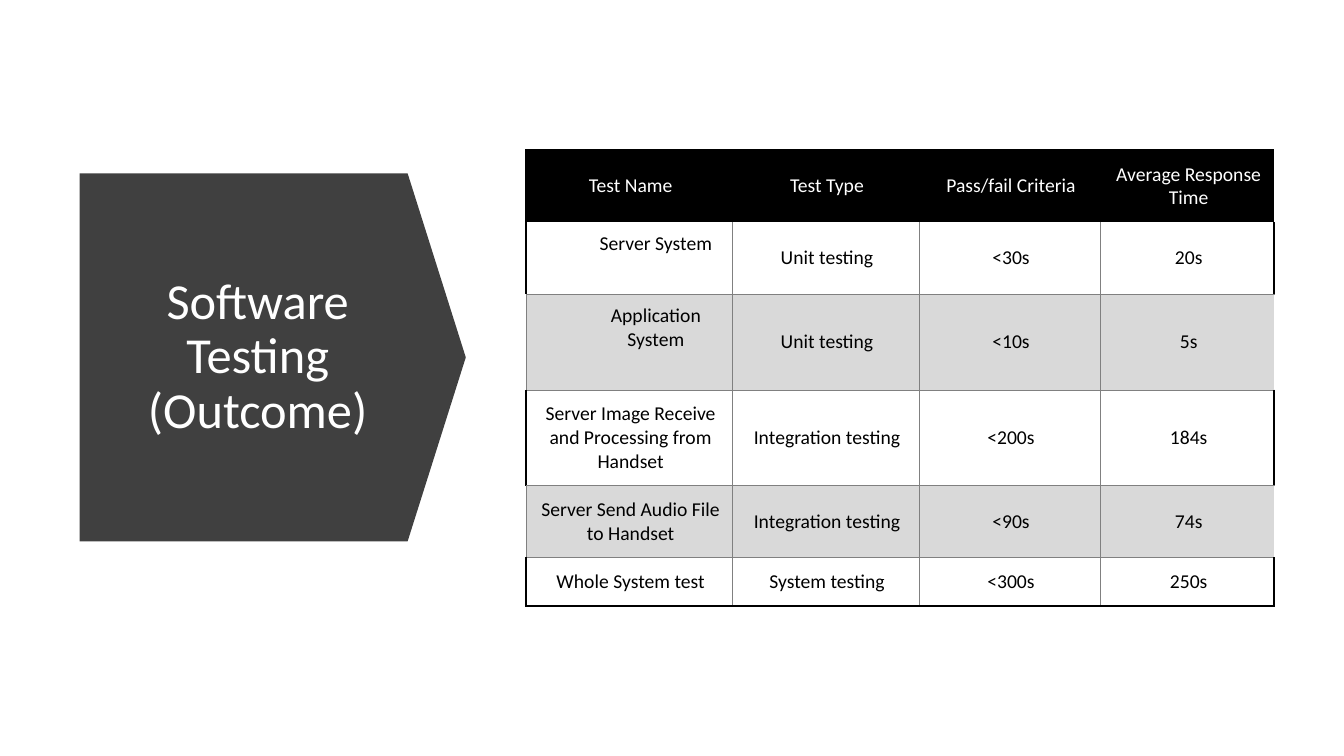
from dataclasses import dataclass

from lxml.etree import SubElement
from pptx import Presentation
from pptx.dml.color import RGBColor
from pptx.enum.shapes import MSO_SHAPE
from pptx.enum.text import MSO_ANCHOR, PP_ALIGN
from pptx.oxml.ns import qn
from pptx.util import Inches, Pt


@dataclass(frozen=True)
class Theme:
    font: str = "Calibri"
    title_size: float = 36
    table_size: float = 14
    panel: str = "404040"
    ink: str = "000000"
    paper: str = "FFFFFF"
    band: str = "D9D9D9"
    rule: str = "808080"
    thin: float = 0.5
    thick: float = 1.5


THEME = Theme()
SLIDE_SIZE = (13.33, 7.5)
ARROW_BOX = (0.79, 1.72, 3.83, 3.65)
TABLE_BOX = (5.22, 1.49, 7.42, 4.52)
COLUMN_SHARES = (0.275, 0.25, 0.242, 0.233)
# A row is as high as its lines of text plus a fixed padding
ROW_LINES = (2, 2, 3, 3, 2, 1)
LINE_HEIGHT = 0.237
ROW_PADDING = 0.24
NO_GRID_STYLE = "{2D5ABB26-0587-4C30-8999-92F81FD0307C}"

TESTS = (
    ("Test Name", "Test Type", "Pass/fail Criteria", "Average Response Time"),
    ("Server System", "Unit testing", "<30s", "20s"),
    ("Application System", "Unit testing", "<10s", "5s"),
    ("Server Image Receive and Processing from Handset",
     "Integration testing", "<200s", "184s"),
    ("Server Send Audio File to Handset", "Integration testing", "<90s", "74s"),
    ("Whole System test", "System testing", "<300s", "250s"),
)
INDENTED_TESTS = ("Server System", "Application System")


def style_text(paragraph, size, color):
    paragraph.alignment = PP_ALIGN.CENTER
    for run in paragraph.runs:
        run.font.name = THEME.font
        run.font.size = Pt(size)
        run.font.color.rgb = RGBColor.from_string(color)


def add_title_arrow(slide, box):
    left, top, width, height = box

    # Arrow: a down arrow turned to point right, behind the title
    arrow = slide.shapes.add_shape(
        MSO_SHAPE.DOWN_ARROW,
        Inches(left + (width - height) / 2), Inches(top + (height - width) / 2),
        Inches(height), Inches(width))
    arrow.rotation = 270
    arrow.adjustments[0] = 1
    arrow.adjustments[1] = 0.158
    arrow.shadow.inherit = False
    arrow.fill.solid()
    arrow.fill.fore_color.rgb = RGBColor.from_string(THEME.panel)
    arrow.line.fill.background()
    slide.shapes._spTree.insert(2, arrow._element)

    # Title over the arrow's body
    title = slide.shapes.title
    title.left, title.top = Inches(left + 0.33), Inches(top + 0.43)
    title.width, title.height = Inches(0.75 * width), Inches(height - 0.86)
    frame = title.text_frame
    frame.text = "Software Testing (Outcome)"
    frame.word_wrap = True
    frame.vertical_anchor = MSO_ANCHOR.MIDDLE
    frame.paragraphs[0].line_spacing = 0.9
    style_text(frame.paragraphs[0], THEME.title_size, THEME.paper)


def cell_borders(row, column):
    """Return the side, colour and width of each line around a cell."""
    thin, thick = (THEME.rule, THEME.thin), (THEME.ink, THEME.thick)
    first, last = column == 0, column == len(COLUMN_SHARES) - 1
    if row == 0:
        return {"T": thick, **({"L": thick} if first else {})}
    if row % 2 == 0:
        return {"L": thin, **({} if last else {"R": thin}), "T": thin}
    return {"L": thick if first else thin,
            "R": thick if last else thin,
            "B": thick if row == len(TESTS) - 1 else thin}


def draw_borders(cell, borders):
    properties = cell._tc.get_or_add_tcPr()
    for side in "LRTB":
        if side in borders:
            color, width = borders[side]
            line = SubElement(properties, qn(f"a:ln{side}"), w=str(Pt(width)))
            fill = SubElement(line, qn("a:solidFill"))
            SubElement(fill, qn("a:srgbClr"), val=color)


def fill_cell(cell, text, row, column):
    cell.margin_left = Inches(0.13)
    cell.margin_right = cell.margin_top = cell.margin_bottom = Inches(0.1)
    cell.vertical_anchor = MSO_ANCHOR.MIDDLE
    draw_borders(cell, cell_borders(row, column))
    if row % 2:
        cell.fill.background()
    else:
        cell.fill.solid()
        cell.fill.fore_color.rgb = RGBColor.from_string(
            THEME.band if row else THEME.ink)

    cell.text_frame.text = text
    paragraph = cell.text_frame.paragraphs[0]
    if text in INDENTED_TESTS:
        cell.vertical_anchor = MSO_ANCHOR.TOP
        paragraph.level = 1
        indent = paragraph._p.get_or_add_pPr()
        indent.set("marL", str(Inches(0.5)))
        indent.set("indent", "0")
    style_text(paragraph, THEME.table_size, THEME.ink if row else THEME.paper)


def add_results_table(slide, box):
    left, top, width, height = box
    frame = slide.shapes.add_table(
        len(TESTS), len(COLUMN_SHARES),
        Inches(left), Inches(top), Inches(width), Inches(height))
    results = frame.table
    results.horz_banding = False
    results._tbl.tblPr.find(qn("a:tableStyleId")).text = NO_GRID_STYLE

    for column, share in zip(results.columns, COLUMN_SHARES):
        column.width = Inches(share * width)
    for row, lines in zip(results.rows, ROW_LINES):
        row.height = Inches(lines * LINE_HEIGHT + ROW_PADDING)
    for row, values in enumerate(TESTS):
        for column, text in enumerate(values):
            fill_cell(results.cell(row, column), text, row, column)


def main():
    deck = Presentation()
    deck.slide_width, deck.slide_height = map(Inches, SLIDE_SIZE)
    slide = deck.slides.add_slide(deck.slide_layouts.get_by_name("Title Only"))
    add_title_arrow(slide, ARROW_BOX)
    add_results_table(slide, TABLE_BOX)
    deck.save("out.pptx")


if __name__ == "__main__":
    main()
